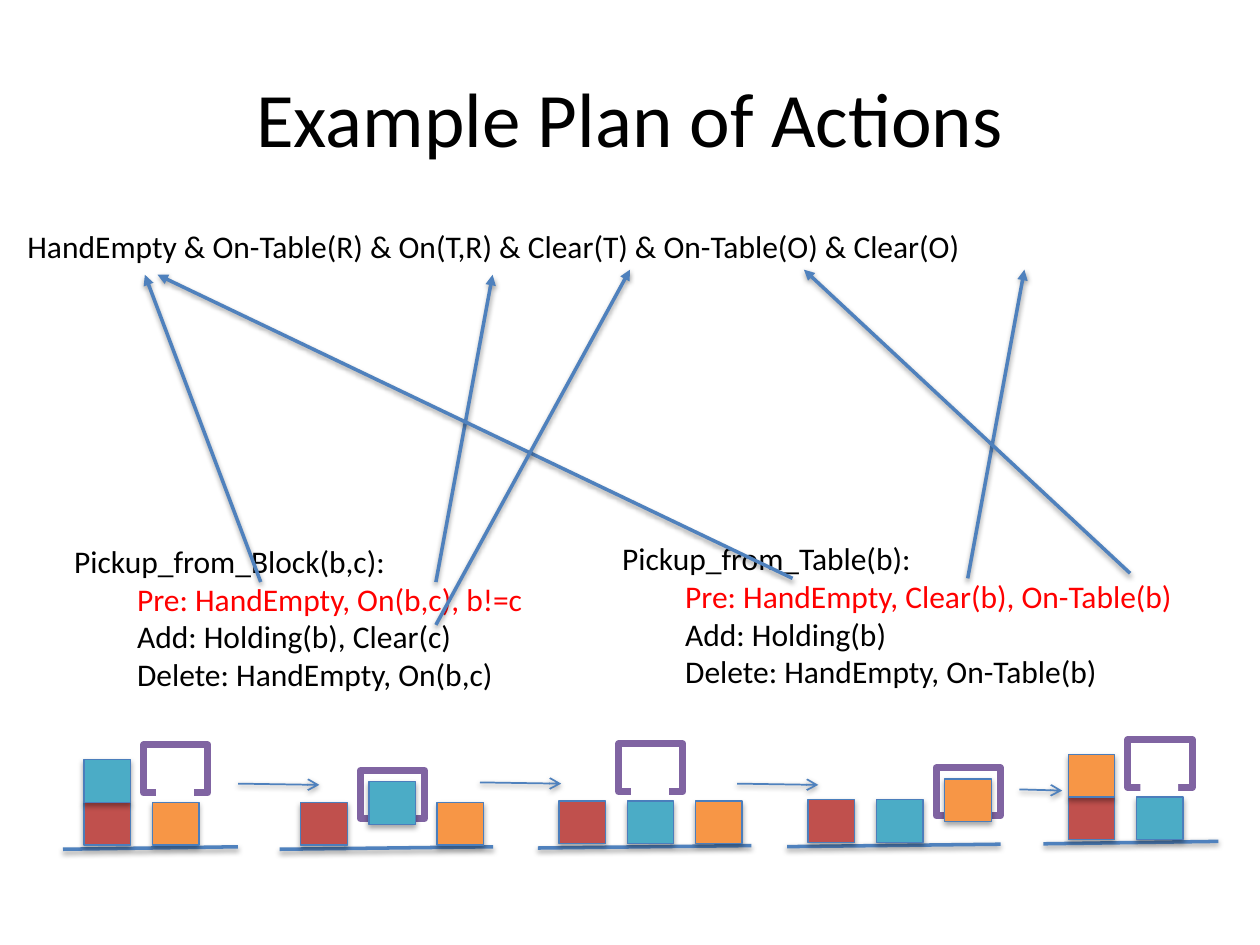
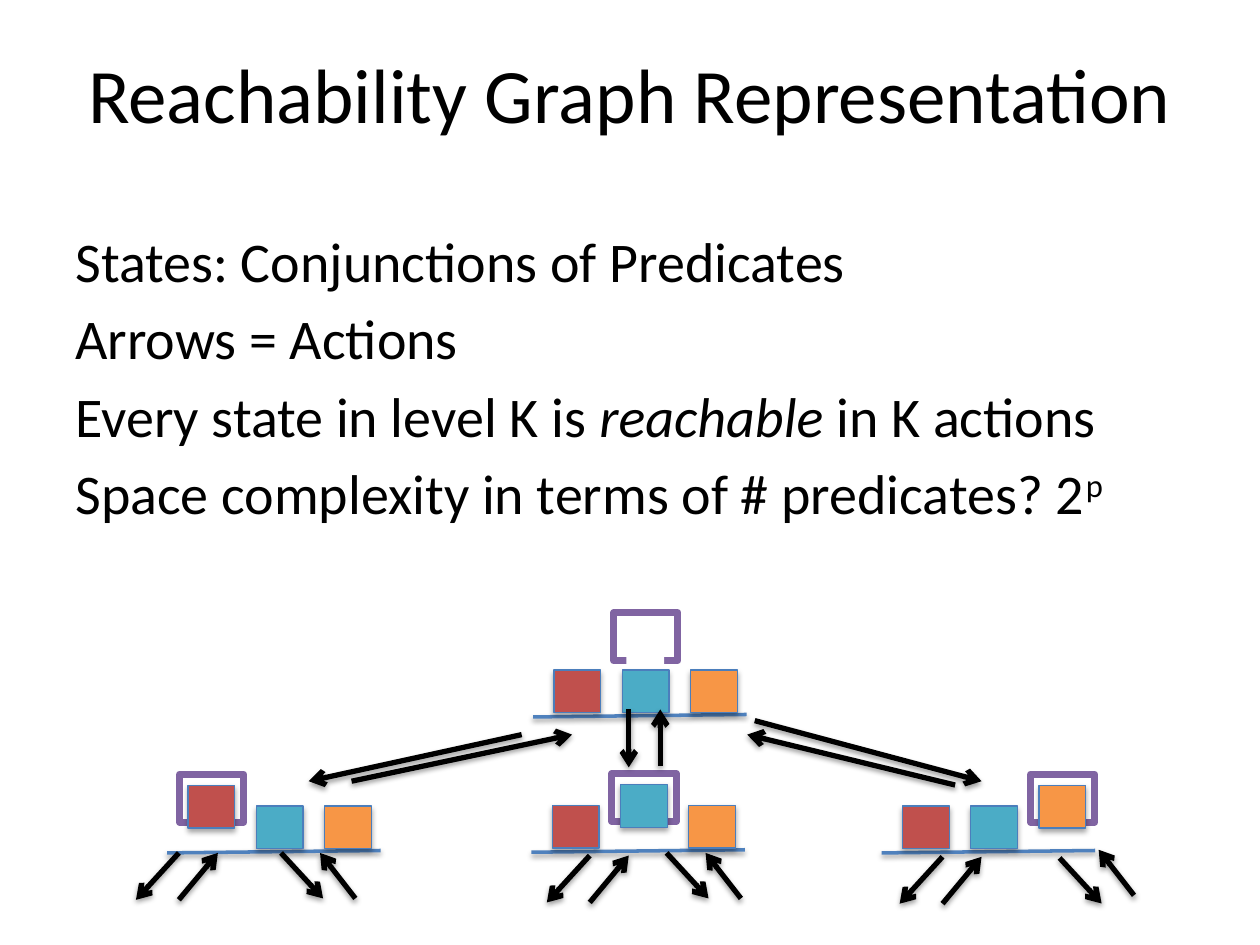
from lxml.etree import SubElement
from pptx import Presentation
from pptx.dml.color import RGBColor
from pptx.enum.shapes import MSO_CONNECTOR, MSO_SHAPE
from pptx.enum.text import MSO_ANCHOR, PP_ALIGN
from pptx.oxml.ns import qn
from pptx.util import Pt

BLACK, WHITE, ALERT = "000000", "FFFFFF", "FF0000"
LINE, BLOCK_EDGE, HAND = "4F81BD", "4B7EBC", "8064A2"
BLOCK_FILLS = {"R": "C0504D", "T": "4BACC6", "O": "F79646"}

# Blocks world measures
BLOCK_W, BLOCK_H, SLOT = 26.7, 24.4, 39
HAND_W, HAND_H = 36.7, 27.4


def rgb(value):
    return RGBColor.from_string(value)


class Deck:
    font = "Calibri"

    def __init__(self):
        self.prs = Presentation()
        self.prs.slide_width, self.prs.slide_height = Pt(720), Pt(540)
        self.slide = None

    def new_slide(self, title, top):
        self.slide = self.prs.slides.add_slide(self.prs.slide_layouts[6])
        heading = self.text(0, top, 720, 90, [title], 44)
        heading.vertical_anchor = MSO_ANCHOR.MIDDLE
        heading.paragraphs[0].alignment = PP_ALIGN.CENTER

    def text(self, left, top, width, height, lines, size, gap=0):
        box = self.slide.shapes.add_textbox(Pt(left), Pt(top), Pt(width), Pt(height))
        frame = box.text_frame
        frame.word_wrap = True
        frame.text = "\n".join(lines)
        for index, paragraph in enumerate(frame.paragraphs):
            paragraph.space_before = Pt(gap if index else 0)
            for run in paragraph.runs:
                self.style(run, size)
        return frame

    def style(self, run, size, color=BLACK):
        run.font.name, run.font.size = self.font, Pt(size)
        run.font.color.rgb = rgb(color)

    def add_run(self, paragraph, text, size):
        run = paragraph.add_run()
        run.text = text
        self.style(run, size)
        return run

    def action(self, left, top, lines):
        """Action schema: its name, then indented pre, add and delete lists."""
        frame = self.text(left, top, 360, 94.3, lines, 18)
        for paragraph in frame.paragraphs[1:]:
            paragraph._p.get_or_add_pPr().set("marL", str(Pt(36)))
        frame.paragraphs[1].runs[0].font.color.rgb = rgb(ALERT)

    def shadow(self, effects, distance, alpha):
        outer = SubElement(effects, qn("a:outerShdw"), blurRad=str(Pt(3.1)),
                           dist=str(Pt(distance)), dir="5400000", rotWithShape="0")
        color = SubElement(outer, qn("a:srgbClr"), val=BLACK)
        SubElement(color, qn("a:alpha"), val=str(alpha * 1000))

    def line(self, start, end, color=LINE, width=2, head=None, shapes=None):
        shapes = self.slide.shapes if shapes is None else shapes
        link = shapes.add_connector(MSO_CONNECTOR.STRAIGHT, *map(Pt, start + end))
        link.line.color.rgb, link.line.width = rgb(color), Pt(width)
        if head:
            SubElement(link.line._get_or_add_ln(), qn("a:tailEnd"), type=head)
        effects = SubElement(link._element.spPr, qn("a:effectLst"))
        self.shadow(effects, 1.6, 38)

    def rect(self, shapes, left, top, width, height, fill=None, edge=None, weight=0.75):
        shape = shapes.add_shape(MSO_SHAPE.RECTANGLE, Pt(left), Pt(top), Pt(width), Pt(height))
        shape.shadow.inherit = False
        if fill:
            shape.fill.solid()
            shape.fill.fore_color.rgb = rgb(fill)
        else:
            shape.fill.background()
        if edge:
            shape.line.color.rgb, shape.line.width = rgb(edge), Pt(weight)
        else:
            shape.line.fill.background()
        return shape

    def block(self, shapes, left, top, name):
        cube = self.rect(shapes, left, top, BLOCK_W, BLOCK_H, BLOCK_FILLS[name], BLOCK_EDGE)
        self.shadow(cube._element.spPr.find(qn("a:effectLst")), 1.8, 35)

    def state(self, left, floor, stacks, hand_slot, held=None, width=122, overhang=12):
        """One world state: table, a stack of blocks per slot, and the hand."""
        shapes = self.slide.shapes.add_group_shape().shapes
        self.line((left, floor), (left + width, floor - 1.4), shapes=shapes)
        first = left + overhang
        for slot, stack in enumerate(stacks):
            for level, name in enumerate(stack):
                self.block(shapes, first + slot * SLOT,
                           floor - 26.8 - level * BLOCK_H, name)
        hand_left = first + hand_slot * SLOT - 4.9
        hand_top = floor - (45 if held else 59.6)
        self.rect(shapes, hand_left, hand_top, HAND_W, HAND_H, edge=HAND, weight=4)
        if held:
            self.block(shapes, hand_left + 4.9, hand_top + 6.3, held)
        else:
            self.rect(shapes, hand_left + 7.2, hand_top + 22.3, 21.6, 8.6, WHITE)

    def move(self, start, end):
        self.line(start, end, BLACK, 3, "arrow")

    def left_fan(self, x, y):
        self.move((x, y), (x - 24.5, y + 26.8))
        self.move((x, y + 26.8), (x + 22.3, y))

    def right_fan(self, x, y, lift=0):
        self.move((x, y), (x + 24, y + 26))
        self.move((x + 42.5, y + 26 - lift), (x + 22.3, y - lift))


def plan_slide(deck):
    deck.new_slide("Example Plan of Actions", 21.6)
    deck.text(8.6, 126, 684, 356, [
        "HandEmpty & On-Table(R) & On(T,R) & Clear(T) & On-Table(O) & Clear(O)"], 18)

    # States along the plan
    deck.state(36, 485.3, ["RT", "O"], 1, width=100)
    deck.state(159.8, 485.3, ["R", "", "O"], 1, "T")
    deck.state(307.4, 484.6, ["R", "T", "O"], 1)
    deck.state(449.8, 483.8, ["R", "T"], 2, "O")
    deck.state(596.2, 482.2, ["RO", "T"], 1, width=100, overhang=14.2)
    for x, y, length in [(136.1, 447.8, 46.4), (274.3, 447.1, 46.4),
                         (421.2, 447.8, 46.4), (582.5, 451.1, 24.5)]:
        deck.line((x, y), (x + length, y + 0.7), width=1, head="arrow")

    # Action schemas
    deck.action(348.5, 304.4, [
        "Pickup_from_Table(b):", "Pre: HandEmpty, Clear(b), On-Table(b)",
        "Add: Holding(b)", "Delete: HandEmpty, On-Table(b)"])
    deck.action(35.3, 306, [
        "Pickup_from_Block(b,c):", "Pre: HandEmpty, On(b,c), b!=c",
        "Add: Holding(b), Clear(c)", "Delete: HandEmpty, On(b,c)"])

    # Preconditions matched to the state's predicates
    for precondition, predicate in [
            ((149, 332.6), (82.8, 157)), ((249.1, 332.6), (281.5, 157)),
            ((452.9, 330.5), (90, 157)), ((553, 330.5), (585.4, 154.1)),
            ((645.8, 327.6), (459.4, 154.1)), ((249.1, 357.1), (360, 154.1))]:
        deck.line(precondition, predicate, head="triangle")


def reachability_slide(deck):
    deck.new_slide("Reachability Graph Representation", 7.9)

    # Root state and the states one action away
    deck.state(304.6, 409.7, ["R", "T", "O"], 1)
    deck.state(95.5, 487.4, ["", "T", "O"], 0, "R")
    deck.state(303.6, 487, ["R", "", "O"], 1, "T")
    deck.state(503.8, 487.4, ["R", "T"], 2, "O")

    # Actions between the root and its successors
    for start, end in [
            ((359.3, 405.4), (359.3, 438.5)), ((377.3, 437.8), (377.3, 405.4)),
            ((298.1, 419.8), (176.4, 446.4)), ((200.9, 446.4), (326.9, 419.8)),
            ((431.3, 411.8), (560.9, 446.4)), ((545.8, 448.6), (427, 419.8))]:
        deck.move(start, end)

    # Actions leading to the next level
    for x, y in [(102.2, 487.4), (337, 488.9), (538.6, 489.6)]:
        deck.left_fan(x, y)
    for x, y, lift in [(160.6, 487.4, 0), (380.9, 487.4, 0), (605.5, 490.3, 4.7)]:
        deck.right_fan(x, y, lift)

    notions = deck.text(36, 126, 684, 414, [
        "States: Conjunctions of Predicates", "Arrows = Actions",
        "Every state in level K is ", "Space complexity in terms of # predicates? 2"],
        32, gap=5.7)
    level, complexity = notions.paragraphs[2:]
    deck.add_run(level, "reachable ", 32).font.italic = True
    deck.add_run(level, "in K actions", 32)
    exponent = deck.add_run(complexity, "p", 32)
    exponent.font._element.set("baseline", "30000")


def main():
    deck = Deck()
    plan_slide(deck)
    reachability_slide(deck)
    deck.prs.save("out.pptx")


if __name__ == "__main__":
    main()
